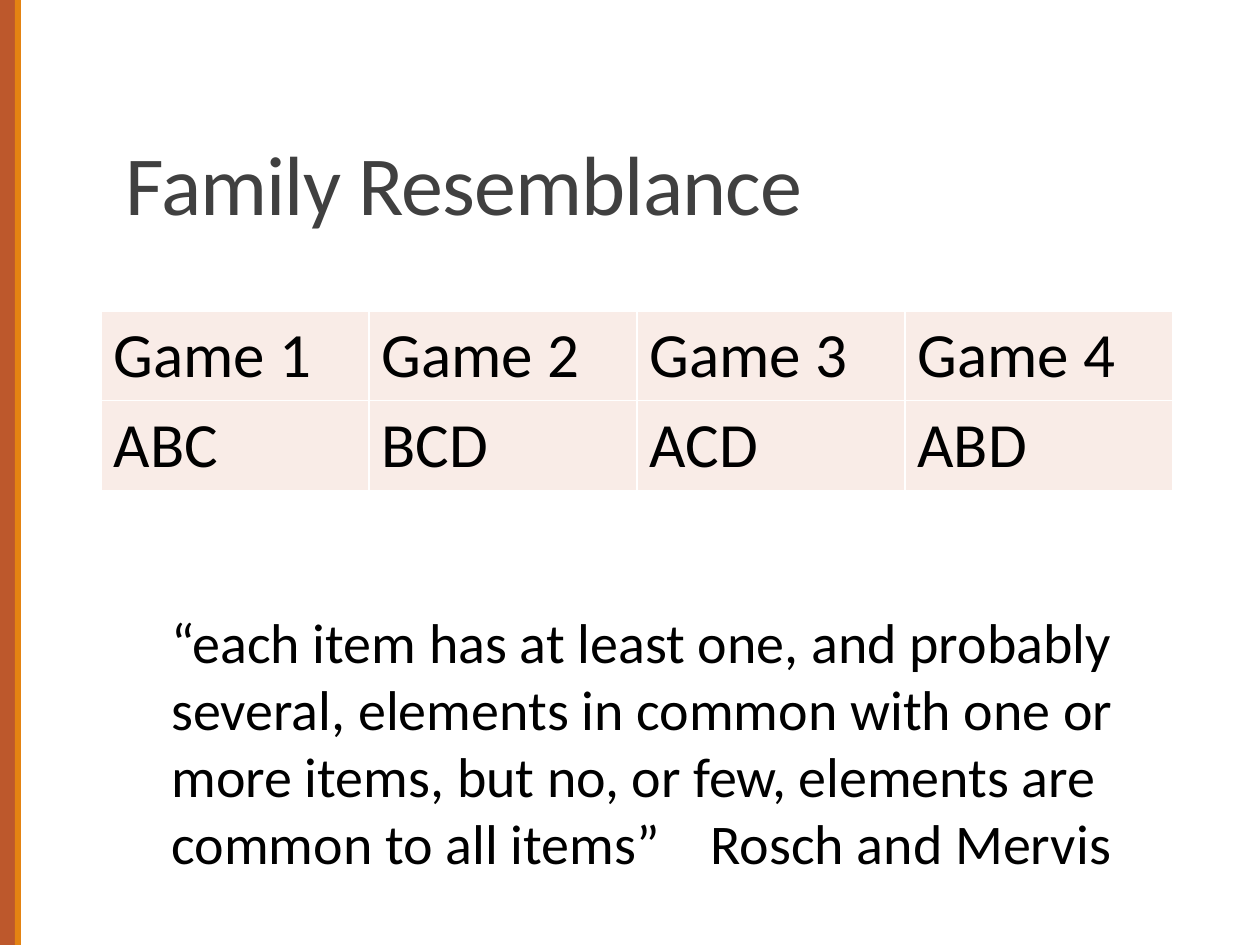
import pptx
import pptx.dml.color
import pptx.enum.shapes
import pptx.enum.text
import pptx.oxml.ns
import pptx.util
from lxml import etree

PX = 914400 / 126
COLOURS = {
    "rust": "BD582C",
    "orange": "E48312",
    "title": "404040",
    "text": "000000",
    "cell": "F9ECE7",
    "border": "FFFFFF",
}
GAMES = [
    ["Game 1", "Game 2", "Game 3", "Game 4"],
    ["ABC", "BCD", "ACD", "ABD"],
]
QUOTE = ("“each item has at least one, and probably several, elements in common "
         "with one or more items, but no, or few, elements are common to all "
         "items”\tRosch and Mervis")


def px(length):
    return pptx.util.Emu(round(length * PX))


def colour(name):
    return pptx.dml.color.RGBColor.from_string(COLOURS[name])


def add_xml(parent, tag, **attributes):
    return etree.SubElement(parent, pptx.oxml.ns.qn(tag), attributes)


def apply(target, values):
    for name, value in values.items():
        setattr(target, name, value)


class SlideBuilder:
    font_name = "Calibri"

    def __init__(self, presentation):
        self.slide = presentation.slides.add_slide(presentation.slide_layouts[5])

    def format_font(self, paragraph, size, colour_name):
        apply(paragraph.font, {"name": self.font_name, "size": pptx.util.Pt(size)})
        paragraph.font.color.rgb = colour(colour_name)

    def bar(self, left, top, width, height, colour_name):
        shape = self.slide.shapes.add_shape(
            pptx.enum.shapes.MSO_SHAPE.RECTANGLE,
            px(left), px(top), px(width), px(height))
        shape.shadow.inherit = False
        shape.fill.solid()
        shape.fill.fore_color.rgb = colour(colour_name)
        shape.line.fill.background()

    def title(self, text, left, top, width, height):
        shape = self.slide.shapes.title
        apply(shape, {"left": px(left), "top": px(top),
                      "width": px(width), "height": px(height)})
        frame = shape.text_frame
        apply(frame, {
            "text": text,
            "word_wrap": True,
            "auto_size": pptx.enum.text.MSO_AUTO_SIZE.NONE,
            "vertical_anchor": pptx.enum.text.MSO_ANCHOR.BOTTOM,
        })
        paragraph = frame.paragraphs[0]
        apply(paragraph, {"alignment": pptx.enum.text.PP_ALIGN.LEFT,
                          "line_spacing": 0.85})
        self.format_font(paragraph, 48, "title")
        # Slightly tightened letters
        paragraph.runs[0].font._element.set("spc", "-50")

    def table(self, rows, left, top, column_width, row_height):
        columns = len(rows[0])
        table = self.slide.shapes.add_table(
            len(rows), columns, px(left), px(top),
            px(column_width * columns), px(row_height * len(rows))).table
        apply(table, {"first_row": False, "horz_banding": False})
        for row_index, row in enumerate(rows):
            for column_index, text in enumerate(row):
                self.cell(table.cell(row_index, column_index), text)

    def cell(self, cell, text):
        cell.text = text
        self.format_font(cell.text_frame.paragraphs[0], 36, "text")
        properties = cell._tc.get_or_add_tcPr()
        for side in ("L", "R", "T", "B"):
            line = add_xml(properties, f"a:ln{side}", w="12192")
            fill = add_xml(line, "a:solidFill")
            add_xml(fill, "a:srgbClr", val=COLOURS["border"])
        cell.fill.solid()
        cell.fill.fore_color.rgb = colour("cell")

    def quote(self, text, left, top, width, height, tab):
        shape = self.slide.shapes.add_textbox(px(left), px(top), px(width), px(height))
        shape.text_frame.word_wrap = True
        paragraph = shape.text_frame.paragraphs[0]
        paragraph.text = text
        # The tab stop sets the attribution apart from the quotation
        tabs = add_xml(paragraph._p.get_or_add_pPr(), "a:tabLst")
        add_xml(tabs, "a:tab", pos=str(px(tab)), algn="l")
        self.format_font(paragraph, 32, "text")


def main():
    presentation = pptx.Presentation()
    apply(presentation, {"slide_width": px(1260), "slide_height": px(945)})
    builder = SlideBuilder(presentation)

    # Side bars
    builder.bar(0, 0, 21, 945, "rust")
    builder.bar(15, 0, 6, 945, "orange")

    # Title
    builder.title("Family Resemblance", 113, 39, 1040, 200)

    # Games and their features
    builder.table(GAMES, 101, 311, 268, 88)

    # Quotation
    builder.quote(QUOTE, 159, 601, 1013, 282, tab=539)

    presentation.save("out.pptx")


if __name__ == "__main__":
    main()
